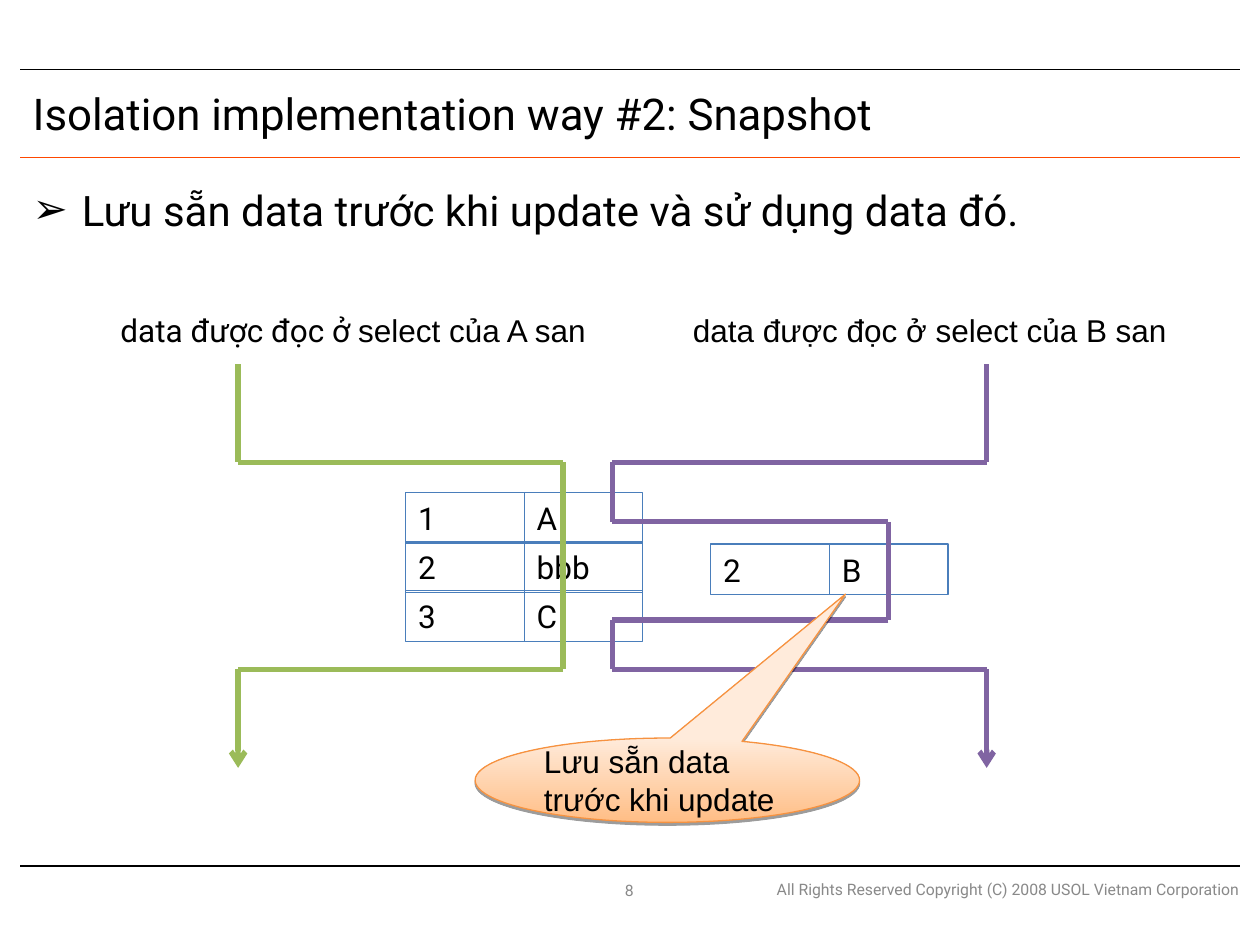
from dataclasses import dataclass
from itertools import pairwise

import pptx
import pptx.dml.color
import pptx.enum.shapes
import pptx.enum.text
import pptx.oxml
import pptx.oxml.ns
import pptx.util

Cm, Pt = pptx.util.Cm, pptx.util.Pt
RGB = pptx.dml.color.RGBColor
Align, Anchor = pptx.enum.text.PP_ALIGN, pptx.enum.text.MSO_ANCHOR
Shape = pptx.enum.shapes.MSO_SHAPE
NS = pptx.oxml.ns.nsdecls("a")

BLACK = RGB(0x00, 0x00, 0x00)
GRAY = RGB(0x89, 0x89, 0x89)
RULE_ORANGE = RGB(0xFE, 0x48, 0x00)
CELL_BLUE = RGB(0x4A, 0x7E, 0xBB)
GREEN = RGB(0x9B, 0xBB, 0x59)
PURPLE = RGB(0x80, 0x64, 0xA2)
CALLOUT_LINE = RGB(0xF6, 0x92, 0x40)
CALLOUT_FILL = (RGB(0xFF, 0xBE, 0x86), RGB(0xFF, 0xEB, 0xDB))

ROBOTO_18 = {"name": "Roboto", "size": Pt(18)}
ARIAL_18 = {"name": "Arial", "size": Pt(18)}
FOOTER = {"name": "Roboto", "size": Pt(9)}
CELL_W, CELL_H, ROW_STEP = 2.39, 1.02, 0.99


@dataclass
class Label:
    box: tuple[float, float, float, float]
    runs: list[tuple[str, dict]]
    frame: dict
    align: Align = Align.LEFT
    color: RGB = BLACK


@dataclass
class Grid:
    left: float
    top: float
    rows: list[tuple[str, str]]


@dataclass
class Route:
    """A stepped path through its corner points, with an arrowhead at the end."""
    color: RGB
    points: list[tuple[float, float]]


def place(sp, box: tuple) -> None:
    for name, value in zip(("left", "top", "width", "height"), box):
        setattr(sp, name, Cm(value))


def write(sp, runs: list, color: RGB = BLACK, align: Align = Align.LEFT, **frame):
    tf = sp.text_frame
    settings = {
        "word_wrap": True, "auto_size": pptx.enum.text.MSO_AUTO_SIZE.NONE,
        "vertical_anchor": Anchor.TOP,
        "margin_left": Cm(0.25), "margin_right": Cm(0.25),
        "margin_top": Cm(0.13), "margin_bottom": Cm(0.13),
    } | frame
    for name, value in settings.items():
        setattr(tf, name, value)
    p = tf.paragraphs[0]
    p.alignment = align
    for text, font in runs:
        r = p.add_run()
        r.text = text
        r.font.color.rgb = color
        for name, value in font.items():
            setattr(r.font, name, value)
    return p


def draw_label(s, label: Label) -> None:
    sp = s.shapes.add_textbox(*map(Cm, label.box))
    write(sp, label.runs, label.color, label.align, **label.frame)


def draw_line(s, start: tuple, end: tuple, color: RGB, width: float, arrow: bool = False) -> None:
    ends = map(Cm, (*start, *end))
    sp = s.shapes.add_connector(pptx.enum.shapes.MSO_CONNECTOR.STRAIGHT, *ends)
    sp.line.color.rgb = color
    sp.line.width = Pt(width)
    if arrow:
        sp.line._get_or_add_ln().append(pptx.oxml.parse_xml(f'<a:tailEnd {NS} type="arrow"/>'))
    sp._element.spPr.append(pptx.oxml.parse_xml(f"<a:effectLst {NS}/>"))


def draw_route(s, route: Route) -> None:
    steps = list(pairwise(route.points))
    for start, end in steps:
        draw_line(s, start, end, route.color, 3, arrow=end == route.points[-1])


def draw_grid(s, grid: Grid) -> None:
    for i, row in enumerate(grid.rows):
        for j, text in enumerate(row):
            box = (grid.left + j * CELL_W, grid.top + i * ROW_STEP, CELL_W, CELL_H)
            sp = s.shapes.add_shape(Shape.RECTANGLE, *map(Cm, box))
            sp.shadow.inherit = False
            sp.fill.background()
            sp.line.color.rgb = CELL_BLUE
            sp.line.width = Pt(0.75)
            write(sp, [(text, ROBOTO_18)])


def draw_callout(s, box: tuple, text: str) -> None:
    sp = s.shapes.add_shape(Shape.OVAL_CALLOUT, *map(Cm, box))
    sp.adjustments[0], sp.adjustments[1] = 0.463, -2.207
    sp.fill.gradient()
    sp.fill.gradient_angle = 90
    for stop, color in zip(sp.fill.gradient_stops, CALLOUT_FILL):
        stop.color.rgb = color
    sp.line.color.rgb = CALLOUT_LINE
    sp.line.width = Pt(0.75)
    sp._element.spPr.append(pptx.oxml.parse_xml(
        f'<a:effectLst {NS}><a:outerShdw dist="20320" dir="5400000" rotWithShape="0">'
        '<a:srgbClr val="000000"><a:alpha val="38000"/></a:srgbClr>'
        "</a:outerShdw></a:effectLst>"))
    write(sp, [(text, ARIAL_18)], vertical_anchor=Anchor.MIDDLE)


def set_bullet(p, char: str, indent: float) -> None:
    pPr = p._p.get_or_add_pPr()
    pPr.set("marL", str(Cm(indent)))
    pPr.set("indent", str(-Cm(indent)))
    for xml in (f'<a:buClr {NS}><a:srgbClr val="{BLACK}"/></a:buClr>',
                f'<a:buChar {NS} char="{char}"/>'):
        pPr.append(pptx.oxml.parse_xml(xml))


MIDDLE = {"vertical_anchor": Anchor.MIDDLE}
NO_WRAP = {"word_wrap": False}
LABELS = [
    Label((15.29, 17.63, 9.93, 0.61),
          [("All Rights Reserved Copyright (C) 2008 USOL Vietnam Corporation", FOOTER)],
          MIDDLE, Align.RIGHT, GRAY),
    Label((10.31, 17.65, 4.75, 0.58), [("8", FOOTER)], MIDDLE, Align.CENTER, GRAY),
    Label((2.18, 6.15, 10.13, 1.02),
          [("data được đọc ở ", ROBOTO_18), ("select của A san", ARIAL_18)], NO_WRAP),
    Label((13.72, 6.15, 10.06, 1.02),
          [("data được đọc ở select của B san", ARIAL_18)], NO_WRAP),
]
GRIDS = [
    Grid(8.18, 9.93, [("1", "A"), ("2", "bbb"), ("3", "C")]),
    Grid(14.33, 10.97, [("2", "B")]),
]
ROUTES = [
    Route(GREEN, [(4.8, 7.34), (4.8, 9.32), (11.35, 9.32), (11.35, 13.49),
                  (4.8, 13.49), (4.8, 15.48)]),
    Route(PURPLE, [(19.89, 7.34), (19.89, 9.32), (12.34, 9.32), (12.34, 10.52),
                   (17.91, 10.52), (17.91, 12.5), (12.34, 12.5), (12.34, 13.49),
                   (19.89, 13.49), (19.89, 15.48)]),
]


def main() -> None:
    prs = pptx.Presentation()
    prs.slide_width, prs.slide_height = Cm(25.4), Cm(19.05)
    s = prs.slides.add_slide(prs.slide_layouts[1])

    for y, color in ((1.4, BLACK), (3.18, RULE_ORANGE), (17.46, BLACK)):
        draw_line(s, (0.41, y), (24.99, y), color, 0.75)

    title, body = s.placeholders
    place(title, (0.41, 1.57, 24.61, 1.4))
    write(title, [("Isolation implementation way #2: Snapshot",
                   {"name": "Roboto", "size": Pt(25)})], **MIDDLE)
    place(body, (0.41, 3.58, 24.61, 1.4))
    p = write(body, [("Lưu sẵn data trước khi update và sử dụng data đó.",
                      {"name": "Roboto", "size": Pt(24)})])
    p.space_before = Pt(0)
    set_bullet(p, "➢", 0.99)

    for label in LABELS:
        draw_label(s, label)
    for grid in GRIDS:
        draw_grid(s, grid)
    for route in ROUTES:
        draw_route(s, route)
    draw_callout(s, (9.58, 14.88, 7.75, 1.7), "Lưu sẵn data trước khi update")
    prs.save("out.pptx")


if __name__ == "__main__":
    main()
